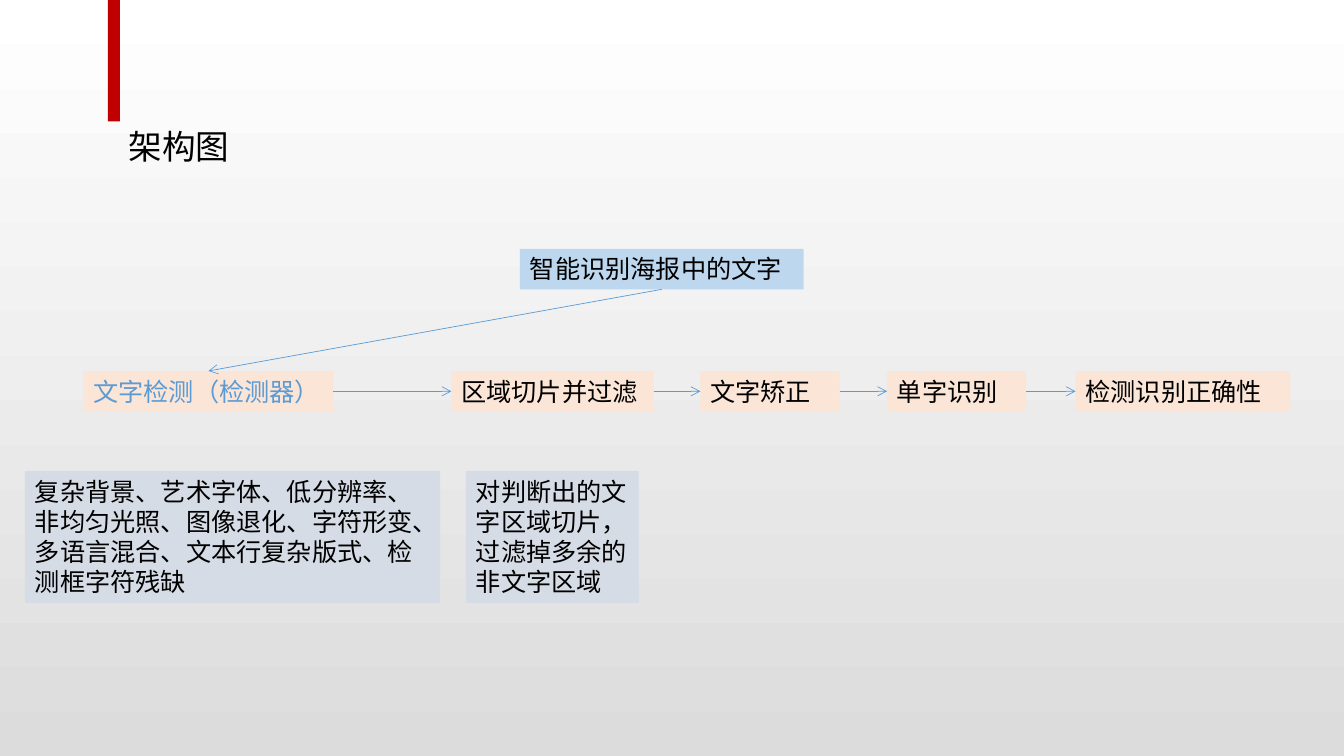
from dataclasses import dataclass
from itertools import pairwise

from lxml.etree import SubElement
from pptx import Presentation
from pptx.dml.color import RGBColor
from pptx.enum.shapes import MSO_CONNECTOR as Connector
from pptx.enum.shapes import MSO_SHAPE as Preset
from pptx.enum.text import MSO_ANCHOR as Anchor
from pptx.enum.text import MSO_AUTO_SIZE as AutoSize
from pptx.enum.text import PP_ALIGN as Align
from pptx.oxml.ns import qn
from pptx.shapes.autoshape import Shape
from pptx.slide import Slide
from pptx.util import Pt

WHITE = RGBColor(0xFF, 0xFF, 0xFF)
GREY = RGBColor(0xDC, 0xDC, 0xDC)
BLACK = RGBColor(0x00, 0x00, 0x00)
RED = RGBColor(0xC0, 0x00, 0x00)
BLUE = RGBColor(0x5B, 0x9B, 0xD5)
PALE_BLUE = RGBColor(0xBD, 0xD7, 0xEE)
PALE_ORANGE = RGBColor(0xFB, 0xE5, 0xD6)
PALE_SLATE = RGBColor(0xD6, 0xDC, 0xE5)

FONT = "Arial"
STEP_TOP = 265
NOTE_TOP = 336.4
LINE_HEIGHT = 29
NOTE_HEIGHT = 94.2
TOP, LEFT, BOTTOM, RIGHT = range(4)


@dataclass(frozen=True)
class Box:
    text: str
    left: float
    top: float
    width: float
    height: float
    fill: RGBColor
    color: RGBColor = BLACK


GOAL = Box("智能识别海报中的文字", 371.4, 177.7, 202.6, LINE_HEIGHT, PALE_BLUE)
STEPS = [
    Box("文字检测（检测器）", 59.6, STEP_TOP, 178.6, LINE_HEIGHT, PALE_ORANGE, BLUE),
    Box("区域切片并过滤", 322.4, STEP_TOP, 144.5, LINE_HEIGHT, PALE_ORANGE),
    Box("文字矫正", 500.3, STEP_TOP, 99.5, LINE_HEIGHT, PALE_ORANGE),
    Box("单字识别", 633.6, STEP_TOP, 99.5, LINE_HEIGHT, PALE_ORANGE),
    Box("检测识别正确性", 768.3, STEP_TOP, 153.5, LINE_HEIGHT, PALE_ORANGE),
]
NOTES = [
    Box(
        "复杂背景、艺术字体、低分辨率、非均匀光照、图像退化、字符形变、"
        "多语言混合、文本行复杂版式、检测框字符残缺",
        17.8, NOTE_TOP, 296.6, NOTE_HEIGHT, PALE_SLATE,
    ),
    Box(
        "对判断出的文字区域切片，过滤掉多余的非文字区域",
        332.8, NOTE_TOP, 123.4, NOTE_HEIGHT, PALE_SLATE,
    ),
]


def write_text(
    shape: Shape,
    text: str,
    *,
    size: float = 18,
    color: RGBColor = BLACK,
    align: Align = Align.LEFT,
    wrap: bool = True,
) -> None:
    frame = shape.text_frame
    frame.word_wrap = wrap
    frame.auto_size = AutoSize.SHAPE_TO_FIT_TEXT
    frame.vertical_anchor = Anchor.TOP
    paragraph = frame.paragraphs[0]
    paragraph.alignment = align
    run = paragraph.add_run()
    run.text = text
    run.font.name = FONT
    run.font.size = Pt(size)
    run.font.color.rgb = color


def add_rectangle(
    slide: Slide, left: float, top: float, width: float, height: float, fill: RGBColor
) -> Shape:
    shape = slide.shapes.add_shape(
        Preset.RECTANGLE, Pt(left), Pt(top), Pt(width), Pt(height)
    )
    shape.shadow.inherit = False
    shape.fill.solid()
    shape.fill.fore_color.rgb = fill
    shape.line.fill.background()
    return shape


def add_box(slide: Slide, box: Box) -> Shape:
    shape = add_rectangle(slide, box.left, box.top, box.width, box.height, box.fill)
    write_text(shape, box.text, color=box.color)
    return shape


def add_arrow(
    slide: Slide, source: Shape, source_side: int, target: Shape, target_side: int
) -> None:
    arrow = slide.shapes.add_connector(Connector.STRAIGHT, 0, 0, 0, 0)
    arrow.begin_connect(source, source_side)
    arrow.end_connect(target, target_side)
    arrow.line.color.rgb = BLUE
    arrow.line.width = Pt(0.5)
    properties = arrow.element.spPr
    SubElement(properties.find(qn("a:ln")), qn("a:tailEnd"), type="arrow")
    SubElement(properties, qn("a:effectLst"))


def paint_background(slide: Slide) -> None:
    fill = slide.background.fill
    fill.gradient()
    fill.gradient_angle = 270
    for stop, color in zip(fill.gradient_stops, (WHITE, GREY)):
        stop.color.rgb = color


def add_heading(slide: Slide) -> None:
    add_rectangle(slide, 77.1, 0, 8.6, 86.7, RED)
    heading = slide.shapes.add_textbox(Pt(84.7), Pt(86.7), Pt(86.4), Pt(36.3))
    write_text(heading, "架构图", size=24, align=Align.CENTER, wrap=False)


def main() -> None:
    presentation = Presentation()
    presentation.slide_width = Pt(960)
    presentation.slide_height = Pt(540)
    slide = presentation.slides.add_slide(presentation.slide_layouts[6])

    paint_background(slide)
    add_heading(slide)
    goal = add_box(slide, GOAL)
    steps = [add_box(slide, step) for step in STEPS]
    for note in NOTES:
        add_box(slide, note)

    add_arrow(slide, goal, BOTTOM, steps[0], TOP)
    for source, target in pairwise(steps):
        add_arrow(slide, source, RIGHT, target, LEFT)

    presentation.save("out.pptx")


if __name__ == "__main__":
    main()
